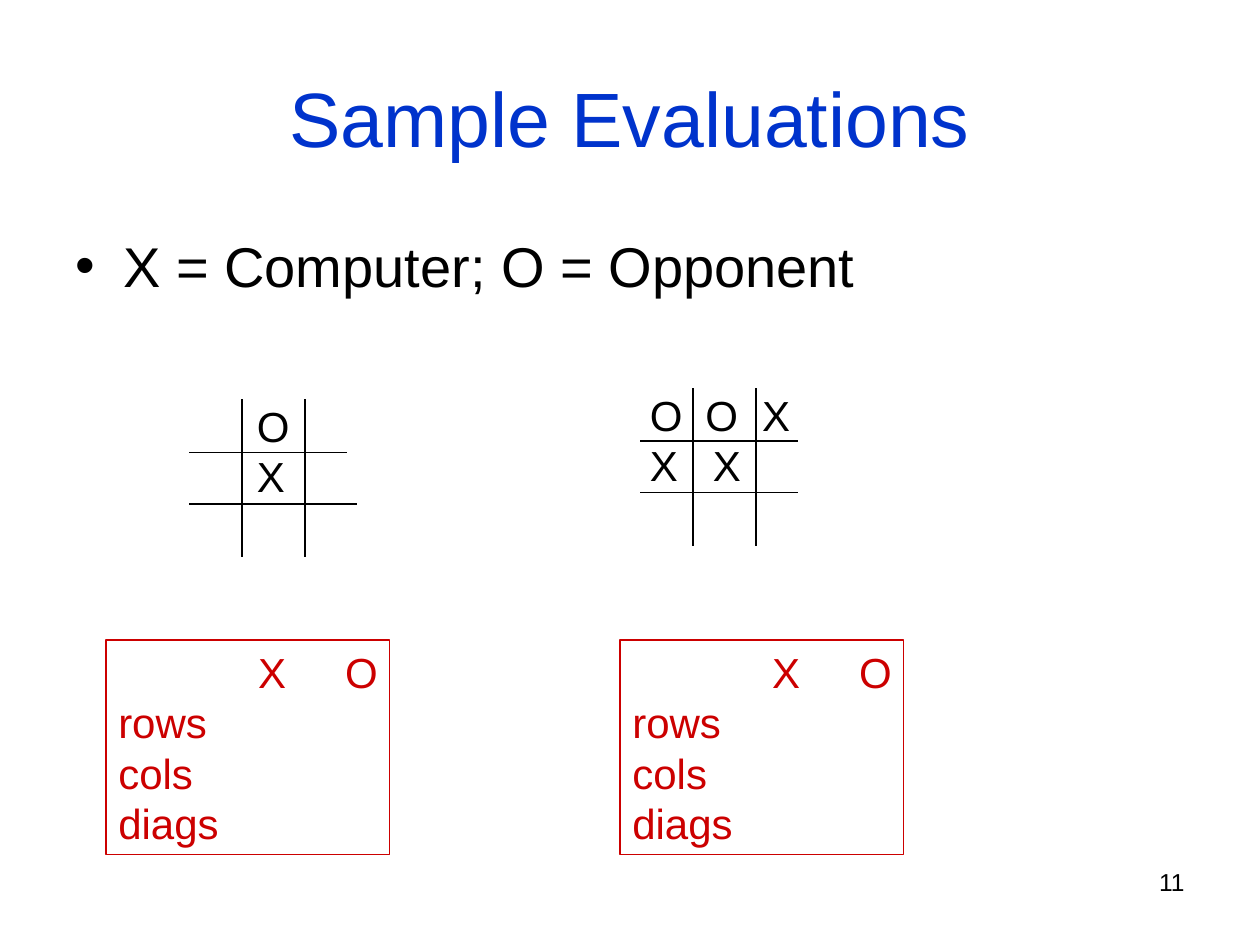
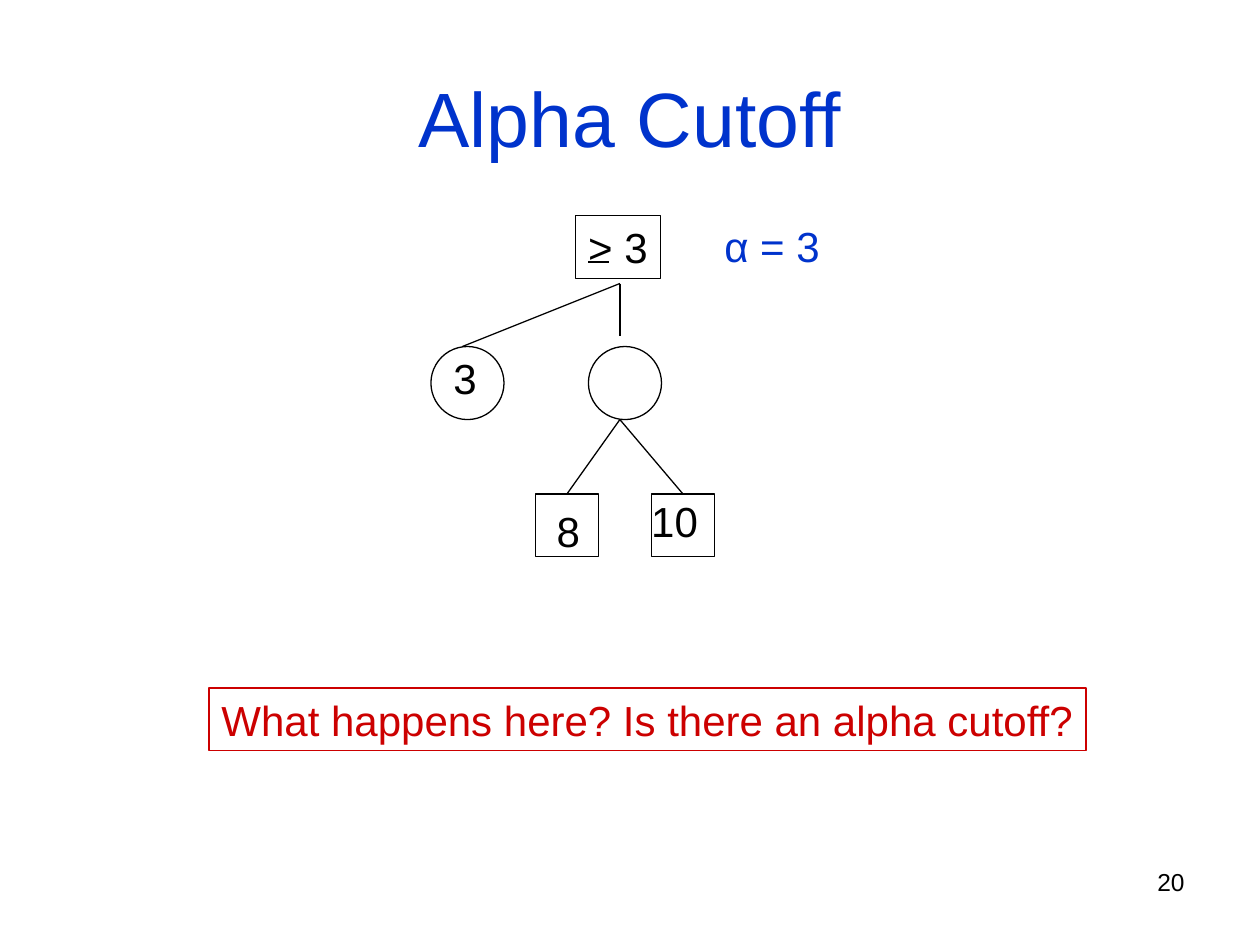
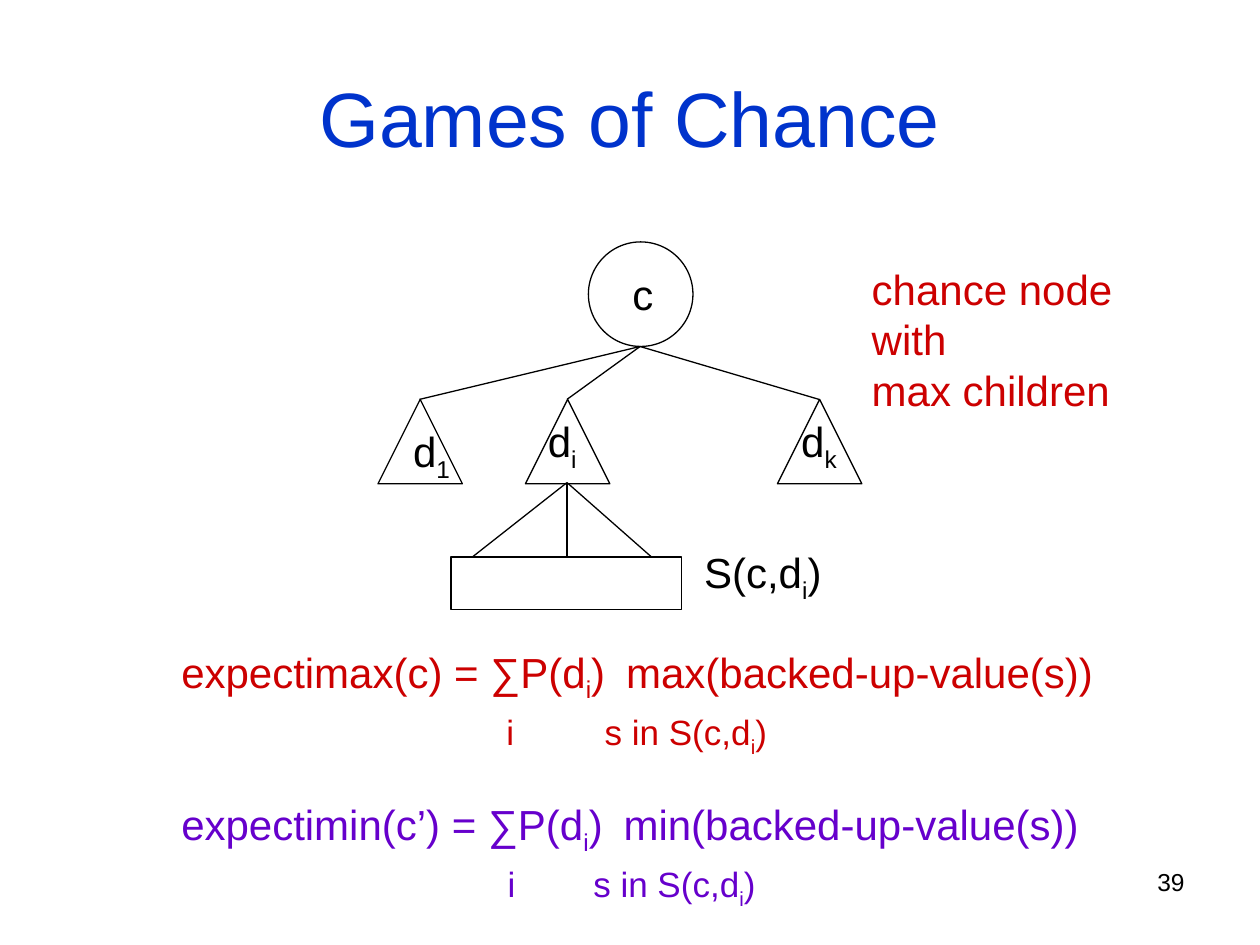
"""Build three slides on game-tree search: evaluations, alpha cutoff, chance."""
from lxml.etree import SubElement
from pptx import Presentation
from pptx.dml.color import RGBColor
from pptx.enum.shapes import MSO_CONNECTOR, MSO_SHAPE
from pptx.enum.text import MSO_ANCHOR, PP_ALIGN
from pptx.oxml.ns import qn
from pptx.util import Inches, Pt

BLACK, BLUE, RED, VIOLET = "000000", "0033CC", "CC0000", "6600CC"
FONT = "Arial"
RECT, OVAL = MSO_SHAPE.RECTANGLE, MSO_SHAPE.OVAL
PEAK = MSO_SHAPE.ISOSCELES_TRIANGLE

BOARDS = [
    {"at": (1.5, 3.17), "rules": (1.25, 1.33),
     "rows": [("\tO", (0.46,)), ("\tX", (0.46,))]},
    {"at": (5.08, 3.08), "rules": (1.25, 1.25),
     "rows": [("O\tO\tX", (0.44, 0.89)), ("X\tX", (0.5,))]},
]
SCORES = [("\tX\tO", (1.11, 1.8)), "rows", "cols", "diags"]
SCORE_LEFTS = (0.84, 4.92)

CUT_NODES = [
    (OVAL, (3.42, 2.75, 0.58, 0.58)),
    (OVAL, (4.67, 2.75, 0.58, 0.58)),
    (RECT, (4.25, 3.92, 0.5, 0.5)),
    (RECT, (5.17, 3.92, 0.5, 0.5)),
]
CUT_LABELS = [
    ("3", (3.5, 2.75, 0.38, 0.5), BLACK),
    ("8", (4.32, 3.96, 0.38, 0.5), BLACK),
    ("10", (5.07, 3.88, 0.57, 0.5), BLACK),
    ("α = 3", (5.65, 1.7, 0.97, 0.5), BLUE),
]
CUT_FANS = [
    ((4.92, 2.25), [(3.67, 2.75), (4.92, 2.67)]),
    ((4.92, 3.33), [(4.5, 3.92), (5.42, 3.92)]),
    ((4.67, 2.08), [(4.83, 2.08)]),
]
QUERY = "What happens here? Is there an alpha cutoff?"

ODDS_NODES = [
    (OVAL, (4.67, 1.92, 0.83, 0.83)),
    (PEAK, (3, 3.17, 0.67, 0.67)),
    (PEAK, (4.17, 3.17, 0.67, 0.67)),
    (PEAK, (6.17, 3.17, 0.67, 0.67)),
    (RECT, (3.58, 4.42, 1.83, 0.42)),
]
ODDS_LABELS = [
    ("c", (4.92, 2.08, 0.36, 0.5), BLACK),
    ("d~1~", (3.18, 3.33, 0.49, 0.56), BLACK),
    ("d~i~", (4.25, 3.25, 0.43, 0.56), BLACK),
    ("d~k~", (6.26, 3.25, 0.48, 0.56), BLACK),
    ("S(c,d~i~)", (5.49, 4.29, 1.13, 0.56), BLACK),
]
ODDS_FANS = [
    ((5.08, 2.75), [(3.33, 3.17), (4.5, 3.17), (6.5, 3.17)]),
    ((4.5, 3.83), [(3.75, 4.42), (4.5, 4.42), (5.17, 4.42)]),
]
SUMS = [
    ("expectimax(c) = ∑P(d~i~)\tmax(backed-up-value(s))", (3.53,), RED, 24, 0),
    ("\ti\ts in S(c,d~i~)", (2.58, 3.36), RED, 20, 4),
    ("expectimin(c’) = ∑P(d~i~)\tmin(backed-up-value(s))", (3.51,), VIOLET, 24, 23),
    ("\ti\ts in S(c,d~i~)", (2.59, 3.27), VIOLET, 20, 4),
]


def paint(color):
    return RGBColor.from_string(color)


def place(box):
    return [Inches(n) for n in box]


def style(para, color, size, align=PP_ALIGN.LEFT):
    para.alignment = align
    font = para.font
    font.name, font.size = FONT, Pt(size)
    font.color.rgb = paint(color)


def add_tabs(para, stops):
    tabs = SubElement(para._p.get_or_add_pPr(), qn("a:tabLst"))
    for stop in stops:
        SubElement(tabs, qn("a:tab"), pos=str(Inches(stop)), algn="l")


def add_runs(para, text):
    for i, part in enumerate(text.split("~")):
        if part:
            run = para.add_run()
            run.text = part
            if i % 2:
                run._r.get_or_add_rPr().set("baseline", "-25000")


def write(shape, lines, color=BLACK, size=24, align=PP_ALIGN.LEFT):
    """Fill a shape with lines: plain text, or (text, tabs[, color, size, gap])."""
    frame = shape.text_frame
    frame.vertical_anchor = MSO_ANCHOR.TOP
    frame.word_wrap = False
    for i, line in enumerate(lines):
        text, stops, *look = (line, ()) if isinstance(line, str) else line
        tint, points, gap = look or (color, size, 0)
        para = frame.paragraphs[0] if i == 0 else frame.add_paragraph()
        if gap:
            para.space_before = Pt(gap)
        if stops:
            frame.word_wrap = True
            frame.margin_right = 0
            add_tabs(para, stops)
        add_runs(para, text)
        style(para, tint, points, align)
    return frame


def add_text(slide, box, lines, *look):
    return write(slide.shapes.add_textbox(*place(box)), lines, *look)


def add_node(slide, kind, box, color=BLACK):
    node = slide.shapes.add_shape(kind, *place(box))
    node.shadow.inherit = False
    node.fill.background()
    node.line.color.rgb = paint(color)
    node.line.width = Pt(0.75)
    return node


def add_line(slide, start, end):
    line = slide.shapes.add_connector(MSO_CONNECTOR.STRAIGHT, *place(start + end))
    line.line.color.rgb = paint(BLACK)
    line.line.width = Pt(0.75)
    SubElement(line._element.spPr, qn("a:effectLst"))


def add_slide(deck, title, page):
    slide = deck.slides.add_slide(deck.slide_layouts[6])
    add_text(slide, (7.17, 6.83, 2.33, 0.52), [page], BLACK, 14,
             PP_ALIGN.RIGHT).word_wrap = True
    head = add_text(slide, (0.5, 0.3, 9, 1.25), [title], BLUE, 44, PP_ALIGN.CENTER)
    head.word_wrap = True
    head.vertical_anchor = MSO_ANCHOR.MIDDLE
    return slide


def add_bullet(slide, text):
    frame = slide.shapes.add_textbox(*place((0.5, 1.79, 9, 0.7))).text_frame
    frame.word_wrap = True
    para = frame.paragraphs[0]
    props = para._p.get_or_add_pPr()
    props.set("marL", str(Inches(0.38)))
    props.set("indent", str(-Inches(0.38)))
    SubElement(props, qn("a:buFont"), typeface=FONT)
    SubElement(props, qn("a:buChar"), char="•")
    add_runs(para, text)
    style(para, BLACK, 32)


def add_board(slide, board):
    x, y = board["at"]
    add_text(slide, (x - 0.02, y - 0.04, 1.4, 1.3), board["rows"])
    for dx in (0.42, 0.92):
        add_line(slide, (x + dx, y), (x + dx, y + 1.25))
    for dy, wide in zip((0.42, 0.83), board["rules"]):
        add_line(slide, (x, y + dy), (x + wide, y + dy))


def add_tree(slide, nodes, fans, labels):
    for kind, box in nodes:
        add_node(slide, kind, box)
    for start, ends in fans:
        for end in ends:
            add_line(slide, start, end)
    for text, box, color in labels:
        add_text(slide, box, [text], color)


def main():
    deck = Presentation()
    deck.slide_width, deck.slide_height = Inches(10), Inches(7.5)

    slide = add_slide(deck, "Sample Evaluations", "11")
    add_bullet(slide, "X = Computer; O = Opponent")
    for board in BOARDS:
        add_board(slide, board)
    for left in SCORE_LEFTS:
        write(add_node(slide, RECT, (left, 5.08, 2.25, 1.7), RED), SCORES, RED)

    slide = add_slide(deck, "Alpha Cutoff", "20")
    add_tree(slide, CUT_NODES, CUT_FANS, CUT_LABELS)
    write(add_node(slide, RECT, (4.57, 1.71, 0.67, 0.5)), ["> 3"])
    write(add_node(slide, RECT, (1.66, 5.46, 6.96, 0.5), RED), [QUERY], RED)

    slide = add_slide(deck, "Games of Chance", "39")
    add_tree(slide, ODDS_NODES, ODDS_FANS, ODDS_LABELS)
    add_text(slide, (6.82, 2.04, 2.79, 0.9), ["chance node with", "max children"], RED)
    add_text(slide, (1.34, 5.08, 7.45, 2.22), SUMS)

    deck.save("out.pptx")


if __name__ == "__main__":
    main()
